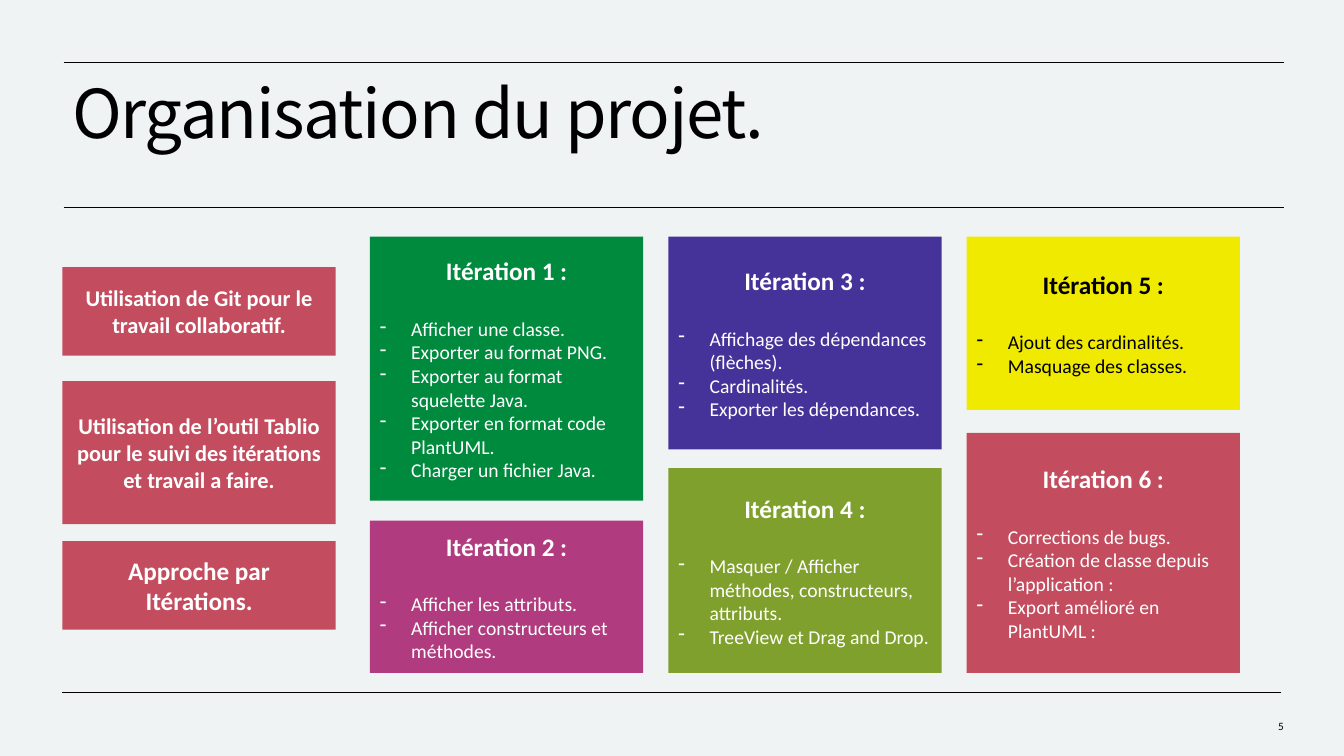
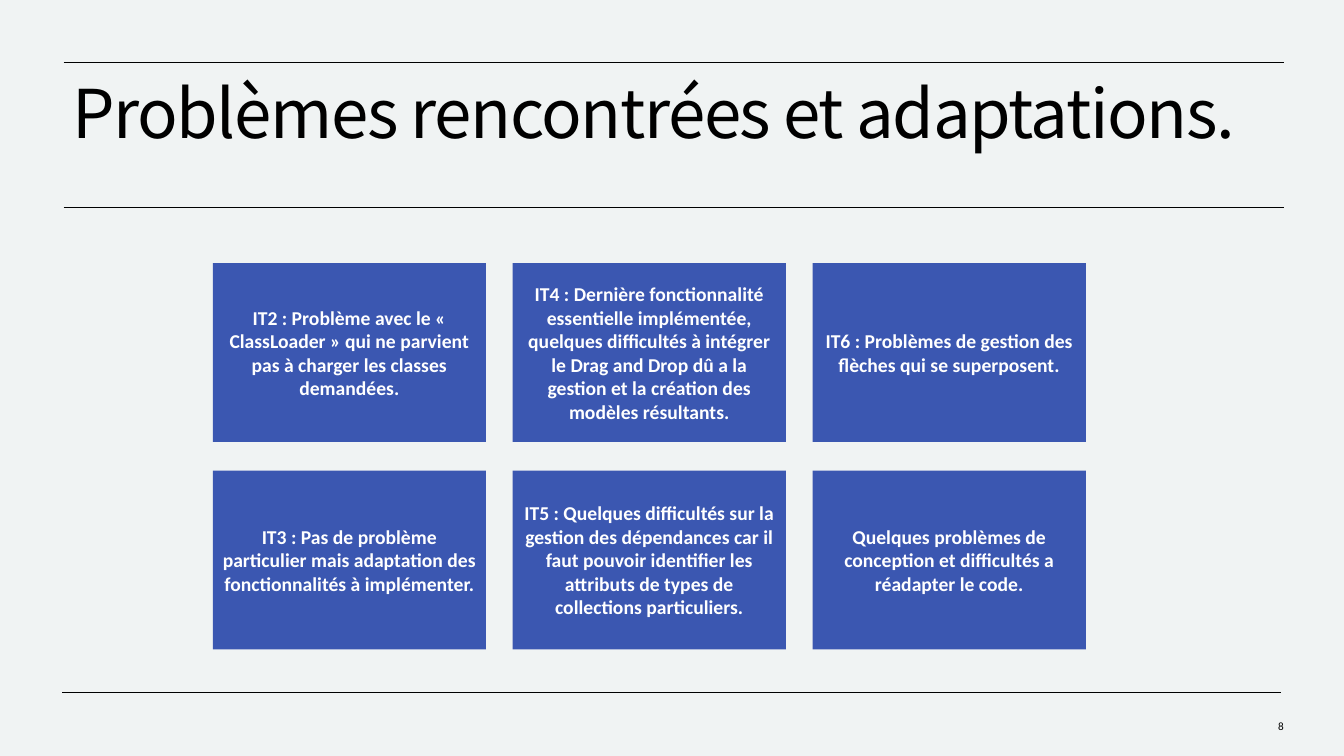
from dataclasses import dataclass
from itertools import product

from lxml.etree import SubElement
from pptx import Presentation
from pptx.dml.color import RGBColor
from pptx.enum.shapes import MSO_CONNECTOR, MSO_SHAPE
from pptx.enum.text import MSO_ANCHOR, PP_ALIGN
from pptx.oxml.ns import qn
from pptx.util import Inches, Pt

SLIDE_WIDTH, SLIDE_HEIGHT = Inches(13.33), Inches(7.5)

COLORS = {
    "background": "F0F3F3",
    "ink": "000000",
    "white": "FFFFFF",
    "rose": "C34D5F",
    "green": "008A3E",
    "magenta": "B13B7F",
    "violet": "453399",
    "olive": "7FA02C",
    "yellow": "F0EA00",
    "blue": "3B57B1",
}
BODY_FONT = "Calibri"
TITLE_FONT = "Noto Sans CJK KR"
CARD_WIDTH = 20.33

PRACTICES = [
    ("Utilisation de Git pour le travail collaboratif.", 16, 11.73),
    ("Utilisation de l’outil Tablio pour le suivi des itérations et travail a faire.", 16, 18.93),
    ("Approche par Itérations.", 18, 11.73),
]

ITERATION_COLUMNS = [
    [
        ("Itération 1 :", "green", "white", 34.93, [
            "Afficher une classe.",
            "Exporter au format PNG.",
            "Exporter au format squelette Java.",
            "Exporter en format code PlantUML.",
            "Charger un fichier Java.",
        ]),
        ("Itération 2 :", "magenta", "white", 20.13, [
            "Afficher les attributs.",
            "Afficher constructeurs et méthodes.",
        ]),
    ],
    [
        ("Itération 3 :", "violet", "white", 28.13, [
            "Affichage des dépendances (flèches).",
            "Cardinalités.",
            "Exporter les dépendances.",
        ]),
        ("Itération 4 :", "olive", "white", 27.07, [
            "Masquer / Afficher méthodes, constructeurs, attributs.",
            "TreeView et Drag and Drop.",
        ]),
    ],
    [
        ("Itération 5 :", "yellow", "ink", 22.93, [
            "Ajout des cardinalités.",
            "Masquage des classes.",
        ]),
        ("Itération 6 :", "rose", "white", 31.73, [
            "Corrections de bugs.",
            "Création de classe depuis l’application :",
            "Export amélioré en PlantUML :",
        ]),
    ],
]

PROBLEMS = [
    [
        "IT2 : Problème avec le « ClassLoader » qui ne parvient pas à charger les classes demandées.",
        "IT4 : Dernière fonctionnalité essentielle implémentée, quelques difficultés à intégrer "
        "le Drag and Drop dû a la gestion et la création des modèles résultants.",
        "IT6 : Problèmes de gestion des flèches qui se superposent.",
    ],
    [
        "IT3 : Pas de problème particulier mais adaptation des fonctionnalités à implémenter.",
        "IT5 : Quelques difficultés sur la gestion des dépendances car il faut pouvoir identifier "
        "les attributs de types de collections particuliers.",
        "Quelques problèmes de conception et difficultés a réadapter le code.",
    ],
]


@dataclass
class Box:
    """A region in percent of the slide's width and height."""
    left: float
    top: float
    width: float
    height: float

    def emu(self):
        return (
            int(SLIDE_WIDTH * self.left / 100),
            int(SLIDE_HEIGHT * self.top / 100),
            int(SLIDE_WIDTH * self.width / 100),
            int(SLIDE_HEIGHT * self.height / 100),
        )

    def stack(self, heights, gap_shares):
        free = self.height - sum(heights)
        top = self.top
        for height, share in zip(heights, [*gap_shares, 0]):
            yield Box(self.left, top, self.width, height)
            top += height + free * share

    def cell(self, row, column, rows, columns, cell_width, cell_height):
        column_step = (self.width - cell_width) / (columns - 1)
        row_step = (self.height - cell_height) / (rows - 1)
        return Box(
            self.left + column * column_step,
            self.top + row * row_step,
            cell_width,
            cell_height,
        )


def rgb(name):
    return RGBColor.from_string(COLORS[name])


def write(paragraph, text, size, color="white", bold=False, align=PP_ALIGN.CENTER, font=BODY_FONT):
    paragraph.alignment = align
    run = paragraph.add_run()
    run.text = text
    run.font.name = font
    run.font.size = Pt(size)
    run.font.bold = bold
    run.font.color.rgb = rgb(color)
    return run


def add_dash(paragraph):
    properties = paragraph._p.get_or_add_pPr()
    indent = Inches(0.31)
    properties.set("marL", str(indent))
    properties.set("indent", str(-indent))
    SubElement(properties, qn("a:buChar")).set("char", "-")


def add_rule(slide, left, right, height):
    x1, x2 = (int(SLIDE_WIDTH * share / 100) for share in (left, right))
    y = int(SLIDE_HEIGHT * height / 100)
    rule = slide.shapes.add_connector(MSO_CONNECTOR.STRAIGHT, x1, y, x2, y)
    rule.line.color.rgb = rgb("ink")
    rule.line.width = Pt(0.5)
    SubElement(rule._element.spPr, qn("a:effectLst"))


def add_label(slide, box, anchor):
    frame = slide.shapes.add_textbox(*box.emu()).text_frame
    frame.word_wrap = True
    frame.vertical_anchor = anchor
    return frame.paragraphs[0]


def add_card(slide, box, color):
    card = slide.shapes.add_shape(MSO_SHAPE.RECTANGLE, *box.emu())
    card.shadow.inherit = False
    card.fill.solid()
    card.fill.fore_color.rgb = rgb(color)
    card.line.fill.background()
    card.text_frame.word_wrap = True
    card.text_frame.vertical_anchor = MSO_ANCHOR.MIDDLE
    return card.text_frame


def add_statement(slide, box, color, text, size):
    write(add_card(slide, box, color).paragraphs[0], text, size, bold=True)


def add_iteration(slide, box, heading, fill, ink, tasks):
    frame = add_card(slide, box, fill)
    write(frame.paragraphs[0], heading, 18, ink, bold=True)
    frame.paragraphs[0].space_after = Pt(22)
    for task in tasks:
        paragraph = frame.add_paragraph()
        write(paragraph, task, 14, ink, align=PP_ALIGN.LEFT)
        add_dash(paragraph)


def add_framed_slide(deck, title, number):
    slide = deck.slides.add_slide(deck.slide_layouts[6])
    for left, right, height in ((4.73, 95.5, 8.27), (4.73, 95.5, 27.47), (4.65, 95.35, 91.6)):
        add_rule(slide, left, right, height)
    heading = add_label(slide, Box(4.65, 10, 90.62, 15.87), MSO_ANCHOR.TOP)
    heading.line_spacing = 0.9
    run = write(heading, title, 48, "ink", align=PP_ALIGN.LEFT, font=TITLE_FONT)
    run._r.get_or_add_rPr().set("spc", "-100")
    page = add_label(slide, Box(90.47, 93.33, 5.78, 5.33), MSO_ANCHOR.MIDDLE)
    write(page, number, 8, "ink", align=PP_ALIGN.RIGHT)
    return slide


def add_practices(slide, box):
    heights = [height for _, _, height in PRACTICES]
    for (text, size, _), place in zip(PRACTICES, box.stack(heights, (0.6, 0.4))):
        add_statement(slide, place, "rose", text, size)


def add_iterations(slide, box):
    for index, iterations in enumerate(ITERATION_COLUMNS):
        column = box.cell(0, index, 2, len(ITERATION_COLUMNS), CARD_WIDTH, box.height)
        heights = [height for _, _, _, height, _ in iterations]
        for (heading, fill, ink, _, tasks), place in zip(iterations, column.stack(heights, (1,))):
            add_iteration(slide, place, heading, fill, ink, tasks)


def add_problems(slide, box):
    rows, columns = len(PROBLEMS), len(PROBLEMS[0])
    for row, column in product(range(rows), range(columns)):
        place = box.cell(row, column, rows, columns, CARD_WIDTH, 23.65)
        add_statement(slide, place, "blue", PROBLEMS[row][column], 14)


def main():
    deck = Presentation()
    deck.slide_width, deck.slide_height = SLIDE_WIDTH, SLIDE_HEIGHT
    background = deck.slide_master.background.fill
    background.solid()
    background.fore_color.rgb = rgb("background")

    organisation = add_framed_slide(deck, "Organisation du projet.", "5")
    add_practices(organisation, Box(4.65, 35.33, CARD_WIDTH, 47.97))
    add_iterations(organisation, Box(27.53, 31.3, 64.73, 57.7))

    problems = add_framed_slide(deck, "Problèmes rencontrées et adaptations.", "8")
    add_problems(problems, Box(15.83, 34.8, 64.96, 51.1))

    deck.save("out.pptx")


if __name__ == "__main__":
    main()
